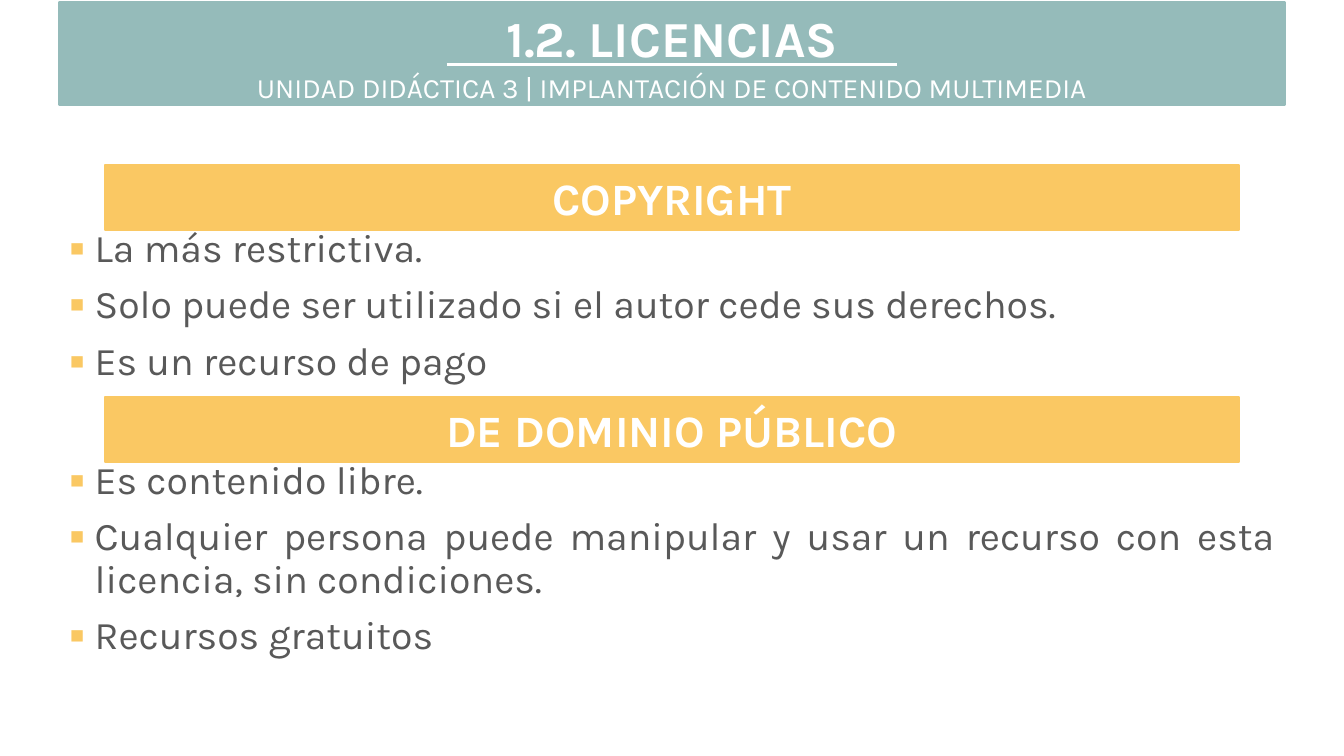
from dataclasses import dataclass

from lxml.etree import SubElement
from pptx import Presentation
from pptx.dml.color import RGBColor as Color
from pptx.enum.shapes import MSO_CONNECTOR as Link, MSO_SHAPE as Shape
from pptx.enum.text import MSO_ANCHOR as Anchor, MSO_AUTO_SIZE as Fit, PP_ALIGN as Align
from pptx.oxml.ns import qn
from pptx.util import Inches, Pt


@dataclass(frozen=True)
class Theme:
    """Colours, font and type sizes of the slide."""
    teal: str = "95BBBA"
    gold: str = "FAC863"
    gray: str = "595959"
    white: str = "FFFFFF"
    font: str = "Karla"
    title: int = 36
    band: int = 32
    body: int = 28
    sub: int = 20


THEME = Theme()
PARTS = [
    ("COPYRIGHT", [
        "La más restrictiva.",
        "Solo puede ser utilizado si el autor cede sus derechos.",
        "Es un recurso de pago",
    ]),
    ("DE DOMINIO PÚBLICO", [
        "Es contenido libre.",
        "Cualquier persona puede manipular y usar un recurso con esta "
        "licencia, sin condiciones.",
        "Recursos gratuitos",
    ]),
]


def place(shape, left, top, width, height):
    """Move a shape to a box given in inches."""
    shape.left, shape.top = Inches(left), Inches(top)
    shape.width, shape.height = Inches(width), Inches(height)


def write(para, text, size, tint, bold=False):
    """Add one styled run to a paragraph."""
    run = para.add_run()
    run.text = text
    font = run.font
    font.name, font.size, font.bold = THEME.font, Pt(size), bold
    font.color.rgb = Color.from_string(tint)


def paint(shape, tint, text, size, bold=False, anchor=Anchor.MIDDLE):
    """Fill a band with one tint and centre its white text."""
    shape.fill.solid()
    shape.fill.fore_color.rgb = Color.from_string(tint)
    shape.line.color.rgb = Color.from_string(tint)
    shape.line.width = Pt(1.5)
    frame = shape.text_frame
    frame.auto_size, frame.word_wrap = Fit.NONE, True
    frame.vertical_anchor = anchor
    para = frame.paragraphs[0]
    para.alignment = Align.CENTER
    write(para, text, size, THEME.white, bold)


def add_band(slide, box, tint, text, size, bold=False):
    """Add a flat band with centred text."""
    band = slide.shapes.add_shape(Shape.RECTANGLE, *map(Inches, box))
    band.shadow.inherit = False
    paint(band, tint, text, size, bold)


def add_head(slide, left, top, width, height):
    """Build the title band, its subtitle and the rule between them."""
    title = slide.shapes.title
    place(title, left, top, width, height)
    paint(title, THEME.teal, "1.2. LICENCIAS", THEME.title, True, Anchor.TOP)
    add_band(slide, (left, top + 0.67, width, 0.35), THEME.teal,
             "UNIDAD DIDÁCTICA 3 | IMPLANTACIÓN DE CONTENIDO MULTIMEDIA", THEME.sub)
    mid, half, level = left + width / 2, 2.235, top + 0.62
    rule = slide.shapes.add_connector(
        Link.STRAIGHT, *map(Inches, (mid - half, level, mid + half, level)))
    rule.line.color.rgb = Color.from_string(THEME.white)
    rule.line.width = Pt(2.25)
    SubElement(rule.element.spPr, qn("a:effectLst"))


def add_mark(para):
    """Give a paragraph a hanging gold square bullet."""
    props = para._p.get_or_add_pPr()
    props.set("marL", str(Inches(0.25)))
    props.set("indent", str(-Inches(0.25)))
    tint = SubElement(props, qn("a:buClr"))
    SubElement(tint, qn("a:srgbClr"), val=THEME.gold)
    SubElement(props, qn("a:buFont"), typeface=THEME.font)
    SubElement(props, qn("a:buChar"), char="▪")


def add_part(slide, left, top, width, height, name, items):
    """Build one licence: its bullet list below a gold band."""
    text = slide.shapes.add_textbox(
        *map(Inches, (left, top + 0.58, width, height - 0.58)))
    frame = text.text_frame
    frame.word_wrap = True
    for rank, item in enumerate(items):
        para = frame.add_paragraph() if rank else frame.paragraphs[0]
        para.alignment = Align.JUSTIFY
        para.line_spacing, para.space_before = 0.9, Pt(10)
        add_mark(para)
        write(para, item, THEME.body, THEME.gray)
    inset = 0.45
    add_band(slide, (left + inset, top, width - 2 * inset, 0.64),
             THEME.gold, name, THEME.band, True)


def main():
    """Build and save the slide."""
    deck = Presentation()
    deck.slide_width, deck.slide_height = Inches(13.33), Inches(7.5)
    slide = deck.slides.add_slide(deck.slide_layouts[5])
    left, width = 0.59, 12.15
    add_head(slide, left, 0.02, width, 1.01)
    top, step = 1.64, 2.3
    for rank, (name, items) in enumerate(PARTS):
        add_part(slide, left, top + rank * step, width, step, name, items)
    deck.save("out.pptx")


if __name__ == "__main__":
    main()
